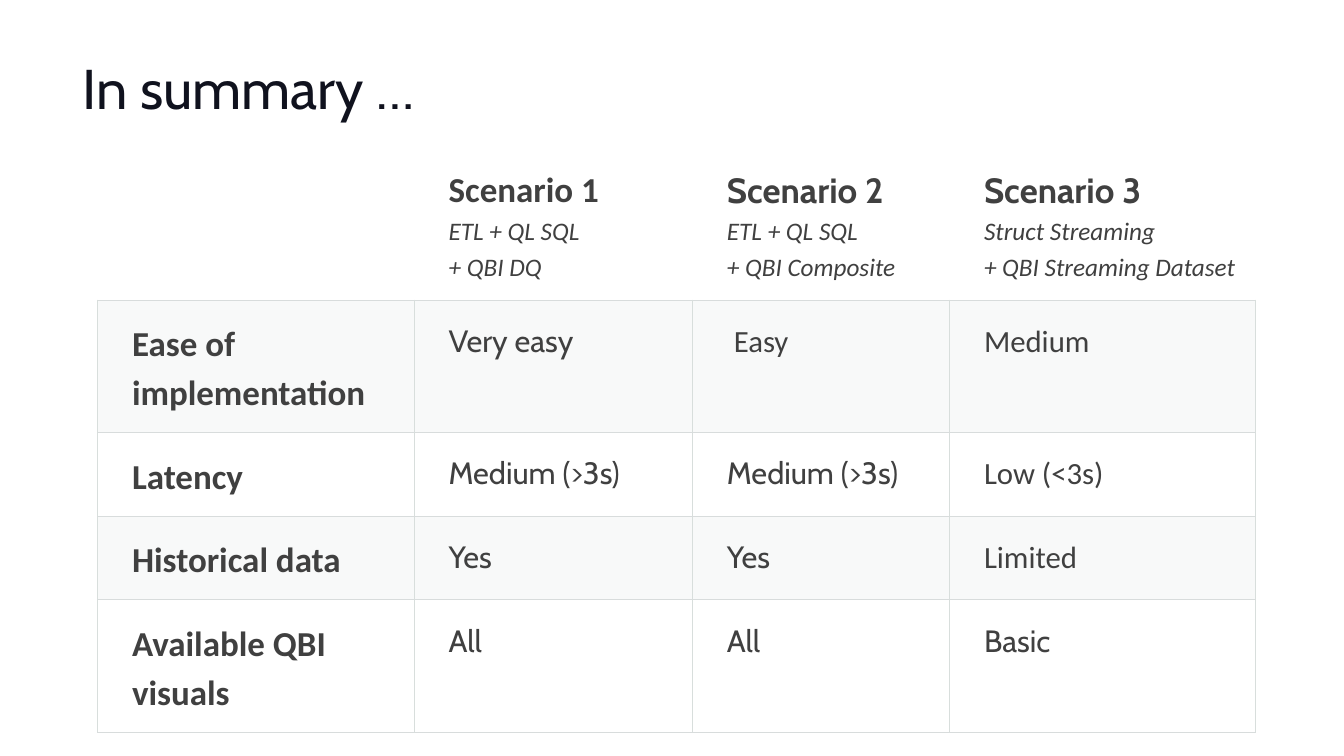
from lxml import etree
from pptx import Presentation
from pptx.dml.color import RGBColor
from pptx.enum.text import MSO_ANCHOR, MSO_AUTO_SIZE, PP_ALIGN
from pptx.oxml.ns import qn
from pptx.util import Inches, Pt

COLORS = {
    "title": "10121E",
    "text": "404040",
    "row border": "D8DCDC",
    "column border": "D8DEDC",
    "band": "F8F9F9",
    "plain": "FFFFFF",
}
NO_STYLE_NO_GRID = "{2D5ABB26-0587-4C30-8999-92F81FD0307C}"
COLUMN_WIDTHS = [3.14, 2.76, 2.55, 3.03]
ROW_HEIGHT = 0.83

# Each scenario: name, font of the name, tool lines
SCENARIOS = [
    ("Scenario 1", "Calibri", ["ETL + QL SQL", "+ QBI DQ"]),
    ("Scenario 2", "Cabin", ["ETL + QL SQL", "+ QBI Composite"]),
    ("Scenario 3", "Cabin", ["Struct Streaming", "+ QBI Streaming Dataset"]),
]
# Each criterion: label, then a rating and its font per scenario
CRITERIA = [
    ("Ease of implementation",
     [("Very easy", "Cabin"), (" Easy", "Calibri"), ("Medium", "Calibri")]),
    ("Latency",
     [("Medium (>3s)", "Cabin"), ("Medium (>3s)", "Cabin"), ("Low (<3s)", "Calibri")]),
    ("Historical data",
     [("Yes", "Cabin"), ("Yes", "Cabin"), ("Limited", "Calibri")]),
    ("Available QBI visuals",
     [("All", "Cabin"), ("All", "Cabin"), ("Basic", "Cabin")]),
]


def write_line(paragraph, text, size, font_name, color="text", bold=False, italic=False):
    run = paragraph.add_run()
    run.text = text
    run.font.size = Pt(size)
    run.font.name = font_name
    run.font.bold = bold
    run.font.italic = italic
    run.font.color.rgb = RGBColor.from_string(COLORS[color])


def add_borders(cell, sides):
    """Draw thin lines on the given sides, listed in the order L, R, T, B."""
    properties = cell._tc.get_or_add_tcPr()
    for side in sides:
        line = etree.SubElement(properties, qn(f"a:ln{side}"), w=str(Pt(0.75)))
        fill = etree.SubElement(line, qn("a:solidFill"))
        color = COLORS["column border" if side in "LR" else "row border"]
        etree.SubElement(fill, qn("a:srgbClr"), val=color)


presentation = Presentation()
presentation.slide_width = Inches(13.33)
presentation.slide_height = Inches(7.5)
slide = presentation.slides.add_slide(presentation.slide_layouts[5])

# Title
title = slide.shapes.title
title.left, title.top = Inches(0.82), Inches(0.59)
title.width, title.height = Inches(11.66), Inches(0.64)
frame = title.text_frame
frame.margin_left = frame.margin_right = frame.margin_top = frame.margin_bottom = 0
frame.vertical_anchor = MSO_ANCHOR.MIDDLE
frame.auto_size = MSO_AUTO_SIZE.NONE
frame.word_wrap = True
paragraph = frame.paragraphs[0]
paragraph.alignment = PP_ALIGN.LEFT
paragraph.line_spacing = 0.9
write_line(paragraph, "In summary …", 40, "Cabin", color="title")

# Comparison table
row_count = len(CRITERIA) + 1
table_frame = slide.shapes.add_table(
    row_count, len(COLUMN_WIDTHS), Inches(0.97), Inches(1.45),
    Inches(sum(COLUMN_WIDTHS)), Inches(ROW_HEIGHT * row_count))
table = table_frame.table
table.horz_banding = False
table._tbl.tblPr.find(qn("a:tableStyleId")).text = NO_STYLE_NO_GRID
for column, width in zip(table.columns, COLUMN_WIDTHS):
    column.width = Inches(width)
for row in table.rows:
    row.height = Inches(ROW_HEIGHT)

# Cell margins, borders and fills
for row_index, row in enumerate(table.rows):
    for cell in row.cells:
        cell.margin_left, cell.margin_right = Inches(0.34), Inches(0.18)
        cell.margin_top = cell.margin_bottom = Inches(0.17)
        if row_index == 0:
            add_borders(cell, "B")
            cell.fill.background()
        else:
            add_borders(cell, "LRTB")
            cell.fill.solid()
            band = "band" if row_index % 2 else "plain"
            cell.fill.fore_color.rgb = RGBColor.from_string(COLORS[band])

# Scenario headings
for column_index, (name, font_name, tools) in enumerate(SCENARIOS, start=1):
    frame = table.cell(0, column_index).text_frame
    write_line(frame.paragraphs[0], name, 25, font_name, bold=True)
    for tool in tools:
        write_line(frame.add_paragraph(), tool, 18, "Calibri", italic=True)

# Criteria and ratings
for row_index, (label, ratings) in enumerate(CRITERIA, start=1):
    label_paragraph = table.cell(row_index, 0).text_frame.paragraphs[0]
    write_line(label_paragraph, label, 25, "Calibri", bold=True)
    for column_index, (rating, font_name) in enumerate(ratings, start=1):
        rating_paragraph = table.cell(row_index, column_index).text_frame.paragraphs[0]
        write_line(rating_paragraph, rating, 22, font_name)

for cell in table.iter_cells():
    for paragraph in cell.text_frame.paragraphs:
        paragraph.line_spacing = 1.15

presentation.save("out.pptx")
